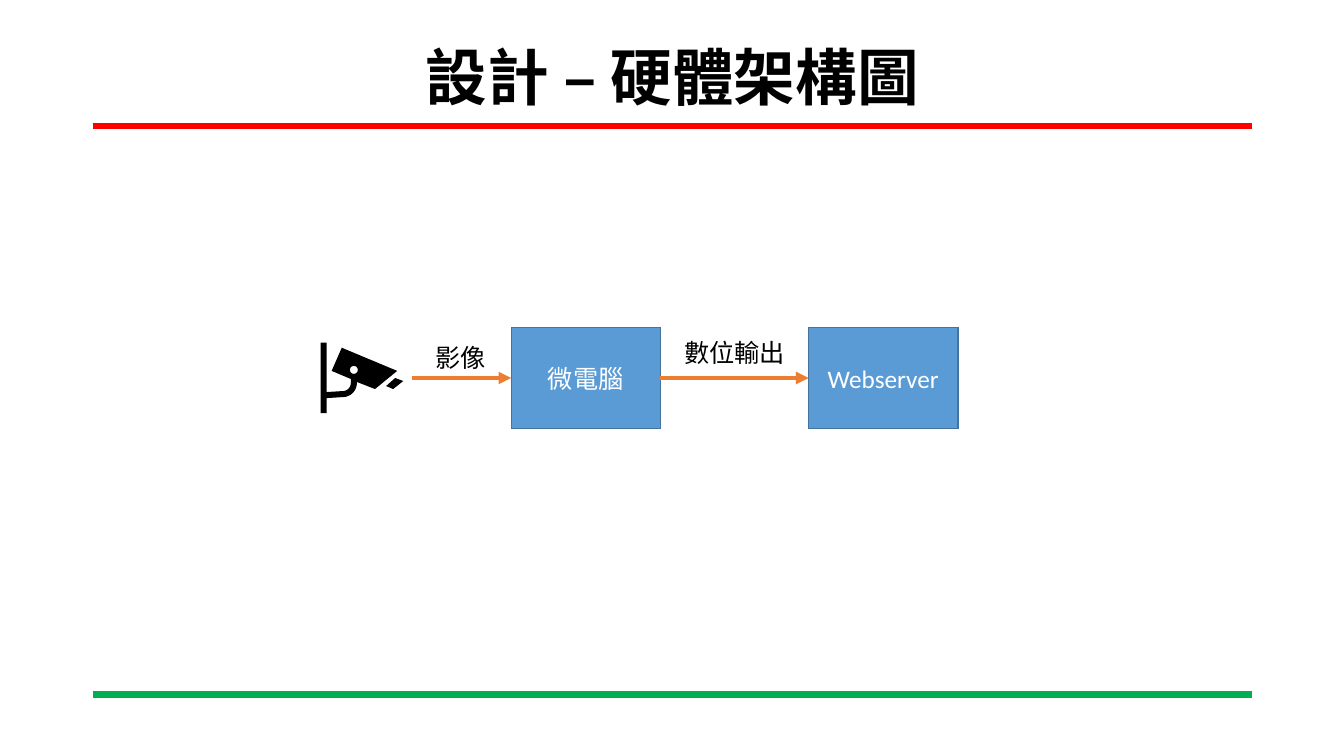
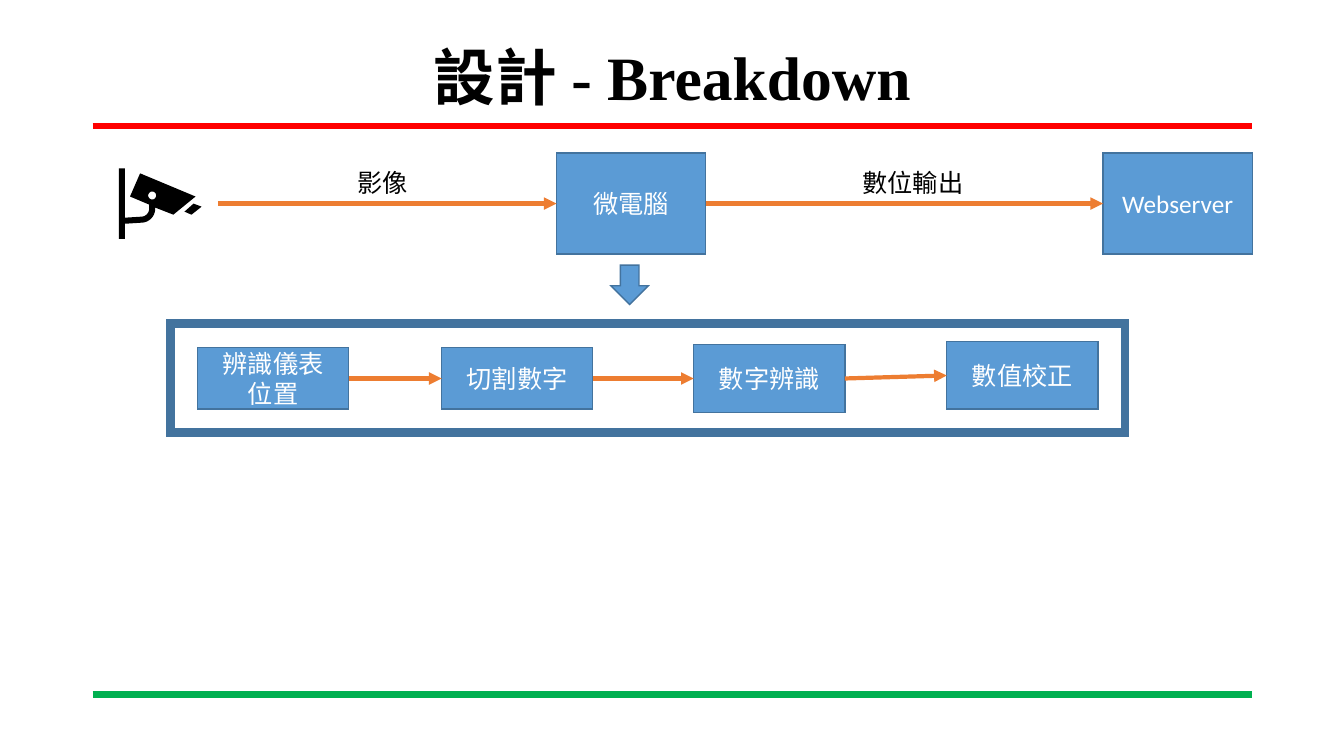
"""Build two design slides: the hardware flow and its breakdown."""
import math
from lxml import etree
from pptx import Presentation
from pptx import util as u
from pptx.dml.color import RGBColor
from pptx.enum import shapes, text
from pptx.oxml.ns import qn

WIDTH, HEIGHT = 13.33, 7.5
MARGIN, RIGHT = 0.92, 12.42
BLUE, EDGE, ORANGE = "5B9BD5", "43739E", "ED7D31"
RED, GREEN, BLACK, WHITE = "FF0000", "00B050", "000000", "FFFFFF"
SANS, SERIF, CJK = "Calibri", "Times New Roman", "Noto Sans CJK SC"

RULES = [(1.25, RED), (6.89, GREEN)]
DEVICES = ["微電腦", "Webserver"]
SIGNALS = [("影像", 0.71), ("數位輸出", 1.21)]
DEVICE_SIZE = (1.48, 1)
FLOWS = [
    dict(title="設計 – 硬體架構圖", middle=3.75, camera=3.17, start=4.09,
         devices=[5.07, 8.02], labels=[(4.21, 3.35), (6.68, 3.3)]),
    dict(title="設計 - Breakdown", middle=2.02, camera=1.17, start=2.16,
         devices=[5.52, 10.94], labels=[(3.44, 1.61), (8.45, 1.61)]),
]
STEPS = [
    ("辨識儀表\n位置", 1.96, 3.45, 0.61),
    ("切割數字", 4.38, 3.45, 0.61),
    ("數字辨識", 6.88, 3.42, 0.67),
    ("數值校正", 9.39, 3.39, 0.67),
]
STEP_WIDTH = 1.5
FRAME = (1.69, 3.21, 9.47, 1.08)
DOWN_ARROW = (6.05, 2.64, 0.39, 0.37)


def inches(values):
    return [u.Inches(value) for value in values]


def color(value):
    return RGBColor.from_string(value)


def write(shape, content, font=SANS, size=18, fill=WHITE, bold=False, spacing=1.0):
    frame = shape.text_frame
    frame.text = content
    frame.vertical_anchor = text.MSO_ANCHOR.MIDDLE
    for paragraph in frame.paragraphs:
        paragraph.alignment = text.PP_ALIGN.CENTER
        paragraph.line_spacing = spacing
        for run in paragraph.runs:
            run.font.name, run.font.size = font, u.Pt(size)
            run.font.bold = bold
            run.font.color.rgb = color(fill)
    for latin in list(shape.element.iter(qn("a:latin"))):
        latin.addnext(etree.Element(qn("a:ea"), typeface=CJK))


def add_to_outline(shape, tag, **attributes):
    outline = shape.element.spPr.find(qn("a:ln"))
    etree.SubElement(outline, qn(tag), **attributes)


def add_block(slide, box, kind=shapes.MSO_SHAPE.RECTANGLE, fill=BLUE, edge=1):
    shape = slide.shapes.add_shape(kind, *inches(box))
    shape.shadow.inherit = False
    if fill:
        shape.fill.solid()
        shape.fill.fore_color.rgb = color(fill)
    else:
        shape.fill.background()
    shape.line.color.rgb = color(EDGE)
    shape.line.width = u.Pt(edge)
    add_to_outline(shape, "a:miter", lim="800000")
    return shape


def add_line(slide, start, end, stroke, width):
    line = slide.shapes.add_connector(shapes.MSO_CONNECTOR.STRAIGHT, *inches((*start, *end)))
    line.line.color.rgb = color(stroke)
    line.line.width = u.Pt(width)
    etree.SubElement(line.element.spPr, qn("a:effectLst"))
    return line


def add_arrow(slide, source, target):
    """Draw an arrow to a block from another block or from a free point."""
    free = isinstance(source, tuple)
    arrow = add_line(slide, source if free else (0, 0), (0, 0), ORANGE, 3)
    if not free:
        arrow.begin_connect(source, 3)
    arrow.end_connect(target, 1)
    add_to_outline(arrow, "a:tailEnd", type="triangle")


def arc(center, radius, start, end, steps=16):
    angles = [math.radians(start + (end - start) * step / steps) for step in range(steps + 1)]
    return [(center[0] + radius * math.cos(angle), center[1] + radius * math.sin(angle))
            for angle in angles]


def add_camera(slide, left, top):
    elbow = (0.23, 0.41)
    lens = arc((0.34, 0.28), 0.04, 0, 360)
    body = [(0.77, 0.29), (0.22, 0.06), (0.12, 0.29), (0.31, 0.37),
            *arc(elbow, 0.08, 0, 90), (0.07, 0.5), (0.07, 0.01), (0.01, 0.01),
            (0.01, 0.71), (0.07, 0.71), (0.07, 0.56), *arc(elbow, 0.14, 90, 0),
            (0.37, 0.4), (0.55, 0.47)]
    tip = [(0.75, 0.36), (0.66, 0.44), (0.73, 0.47), (0.83, 0.39)]
    for contours in ([body, lens], [tip]):
        placed = [[inches((left + x, top + y)) for x, y in contour] for contour in contours]
        builder = slide.shapes.build_freeform(*placed[0][0])
        for index, contour in enumerate(placed):
            if index:
                builder.move_to(*contour[0])
            builder.add_line_segments(contour[1:], close=True)
        shape = builder.convert_to_shape()
        shape.shadow.inherit = False
        shape.fill.solid()
        shape.fill.fore_color.rgb = color(BLACK)
        shape.line.fill.background()


def add_flow(slide, title, middle, camera, start, devices, labels):
    write(slide.shapes.title, title, font=SERIF, size=44, fill=BLACK, bold=True, spacing=0.9)
    source = (start, middle)
    width, height = DEVICE_SIZE
    for name, left in zip(DEVICES, devices):
        block = add_block(slide, (left, middle - height / 2, width, height))
        write(block, name)
        add_arrow(slide, source, block)
        source = block
    for (signal, label_width), place in zip(SIGNALS, labels):
        label = slide.shapes.add_textbox(*inches((*place, label_width, 0.4)))
        label.text_frame.word_wrap = False
        label.text_frame.auto_size = text.MSO_AUTO_SIZE.SHAPE_TO_FIT_TEXT
        write(label, signal, font=CJK, fill=BLACK)
    add_camera(slide, camera, middle - 0.36)


def add_steps(slide):
    arrow = add_block(slide, DOWN_ARROW, shapes.MSO_SHAPE.RIGHT_ARROW)
    arrow.rotation = 90
    previous = None
    for name, left, top, height in STEPS:
        block = add_block(slide, (left, top, STEP_WIDTH, height))
        write(block, name)
        if previous:
            add_arrow(slide, previous, block)
        previous = block
    add_block(slide, FRAME, fill=None, edge=6)


presentation = Presentation()
presentation.slide_width, presentation.slide_height = inches((WIDTH, HEIGHT))
master, layout = presentation.slide_master, presentation.slide_layouts[5]
heading = master.placeholders[0]
heading.left, heading.top, heading.width, heading.height = inches(
    (MARGIN, 0.4, RIGHT - MARGIN, 0.79))
slides = [presentation.slides.add_slide(layout) for flow in FLOWS]
for height, stroke in RULES:
    rule = add_line(slides[0], (MARGIN, height), (RIGHT, height), stroke, 4.5)
    master.shapes.element.append(rule.element)
for slide, flow in zip(slides, FLOWS):
    add_flow(slide, **flow)
add_steps(slides[1])
presentation.save("out.pptx")
